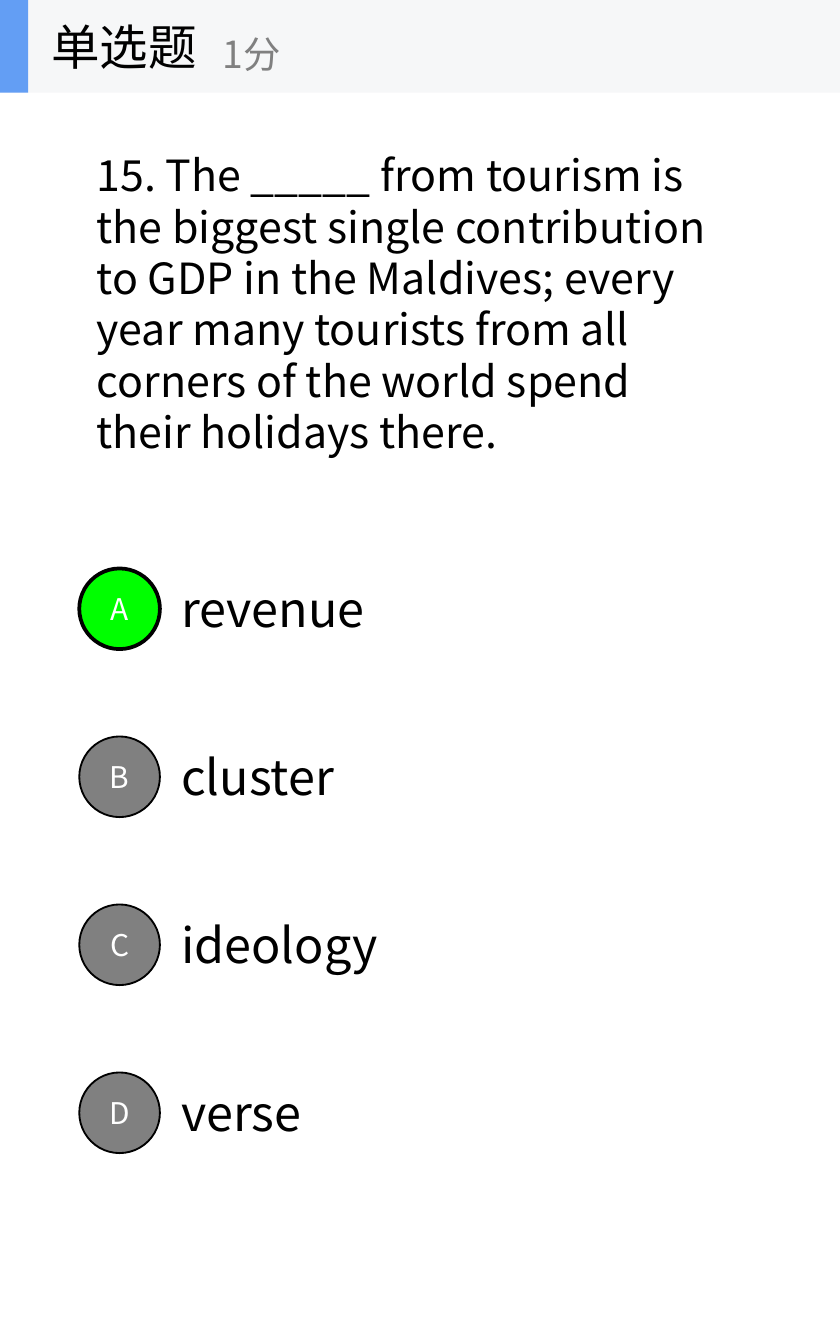
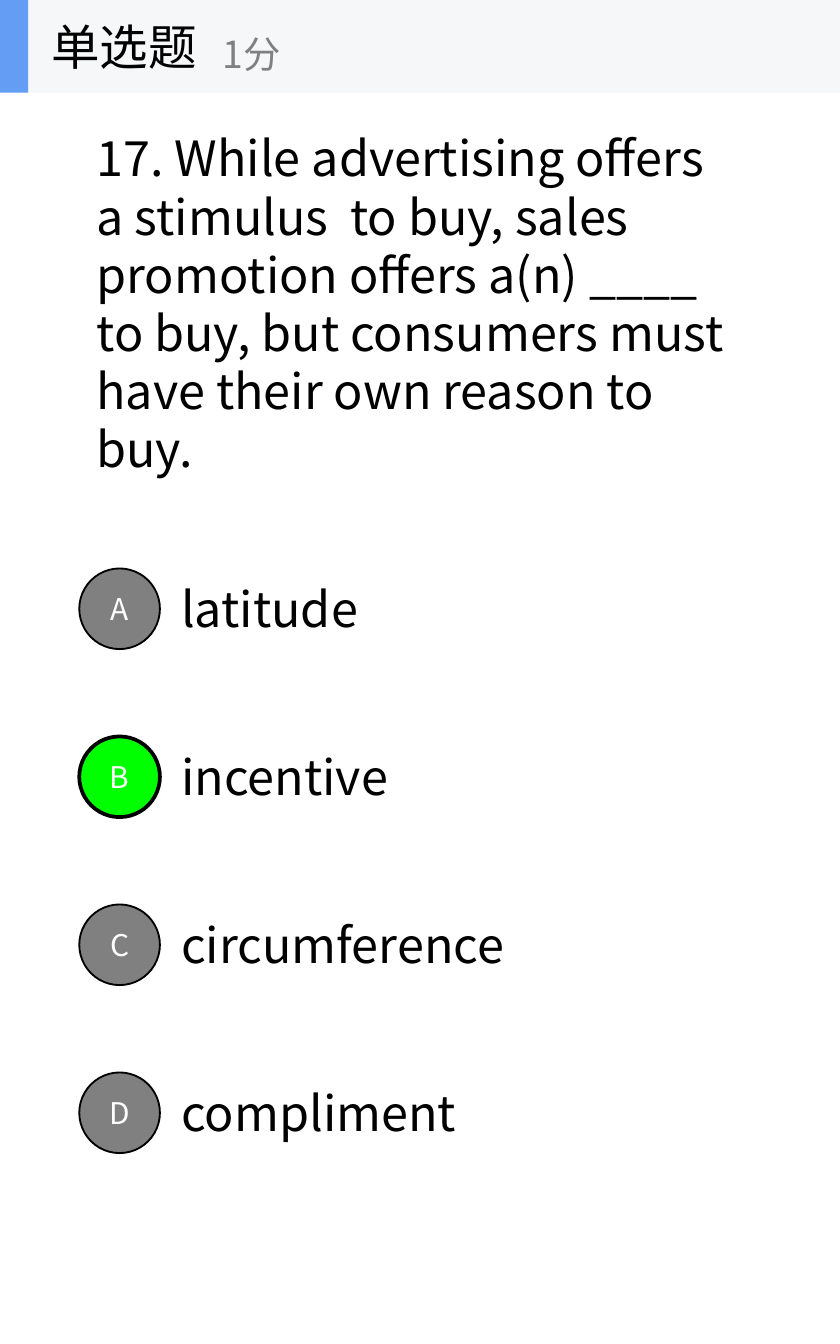
from dataclasses import dataclass

from lxml import etree
from pptx import Presentation
from pptx import util as u
from pptx.dml.color import RGBColor
from pptx.enum import shapes, text
from pptx.oxml.ns import qn


@dataclass(frozen=True)
class Theme:
    font: str = "Noto Sans CJK SC"
    ink: str = "000000"
    grey: str = "808080"
    white: str = "FFFFFF"
    band: str = "F6F7F8"
    accent: str = "639EF4"
    correct: str = "00FF00"
    large: int = 26
    points: int = 20
    letter: int = 16


THEME = Theme()
SLIDE_WIDTH, SLIDE_HEIGHT = 6.25, 10

# Each answer is paired with the width of its label.
QUESTIONS = [
    dict(
        wording="15. The _____ from tourism is the biggest single contribution to GDP "
                "in the Maldives; every year many tourists from all corners of the "
                "world spend their holidays there.",
        box=(0.62, 0.85, 4.83, 2.81), size=23, correct="A",
        answers=[("revenue", 1.69), ("cluster", 1.45), ("ideology", 1.81), ("verse", 1.21)],
    ),
    dict(
        wording="17. While advertising offers a stimulus  to buy, sales promotion offers "
                "a(n) ____ to buy, but consumers must have their own reason to buy.",
        box=(0.62, 0.89, 5, 2.73), size=THEME.large, correct="B",
        answers=[("latitude", 1.62), ("incentive", 1.85),
                 ("circumference", 2.73), ("compliment", 2.38)],
    ),
]


def inches(box):
    return [u.Inches(length) for length in box]


def write(shape, wording, size, color, align=text.PP_ALIGN.LEFT, grow=False):
    frame = shape.text_frame
    frame.text = wording
    frame.word_wrap = True
    frame.auto_size = (text.MSO_AUTO_SIZE.SHAPE_TO_FIT_TEXT if grow
                       else text.MSO_AUTO_SIZE.NONE)
    frame.vertical_anchor = text.MSO_ANCHOR.MIDDLE
    paragraph = frame.paragraphs[0]
    paragraph.alignment = align
    font = paragraph.font
    font.size = u.Pt(size)
    font.color.rgb = RGBColor.from_string(color)
    font.name = THEME.font
    latin = next(paragraph._p.iter(qn("a:latin")))
    east_asian = etree.Element(qn("a:ea"), typeface=THEME.font)
    latin.addnext(east_asian)


def add_label(slide, box, wording, size, color=THEME.ink, grow=False):
    label = slide.shapes.add_textbox(*inches(box))
    write(label, wording, size, color, grow=grow)


def add_filled(slide, kind, box, fill, line_width=0):
    shape = slide.shapes.add_shape(kind, *inches(box))
    shape.shadow.inherit = False
    shape.fill.solid()
    shape.fill.fore_color.rgb = RGBColor.from_string(fill)
    if line_width:
        shape.line.color.rgb = RGBColor.from_string(THEME.ink)
        shape.line.width = u.Pt(line_width)
    else:
        shape.line.fill.background()
    return shape


def add_header(slide, left, top, width, height):
    rectangle = shapes.MSO_SHAPE.RECTANGLE
    add_filled(slide, rectangle, (left, top, width, height), THEME.band)
    marker = add_filled(slide, rectangle, (left, top, 0.21, height), THEME.accent)

    title = slide.shapes.title
    title.left, title.top, title.width, title.height = inches(
        (left + 0.28, top, 2.08, height))
    write(title, "单选题", THEME.large, THEME.ink)
    marker.element.addnext(title.element)  # keeps the title in front of the band

    add_label(slide, (left + 1.56, top + 0.12, 2.5, 0.56), "1分", THEME.points, THEME.grey)


def add_answers(slide, left, top, answers, correct, pitch=1.25, diameter=0.6):
    for row, (letter, (answer, width)) in enumerate(zip("ABCD", answers)):
        y = top + row * pitch
        add_label(slide, (left + 0.66, y + 0.03, width, 0.53), answer, THEME.large, grow=True)
        fill, line_width = (THEME.correct, 2) if letter == correct else (THEME.grey, 1)
        badge = add_filled(slide, shapes.MSO_SHAPE.OVAL, (left, y, diameter, diameter),
                           fill, line_width)
        write(badge, letter, THEME.letter, THEME.white, text.PP_ALIGN.CENTER)


def add_question_slide(deck, wording, box, size, correct, answers):
    slide = deck.slides.add_slide(deck.slide_layouts.get_by_name("Title Only"))
    add_label(slide, box, wording, size, grow=True)
    add_answers(slide, 0.59, 4.23, answers, correct)
    add_header(slide, 0, 0, SLIDE_WIDTH, 0.69)


def main():
    deck = Presentation()
    deck.slide_width, deck.slide_height = inches((SLIDE_WIDTH, SLIDE_HEIGHT))
    for question in QUESTIONS:
        add_question_slide(deck, **question)
    deck.save("out.pptx")


if __name__ == "__main__":
    main()
